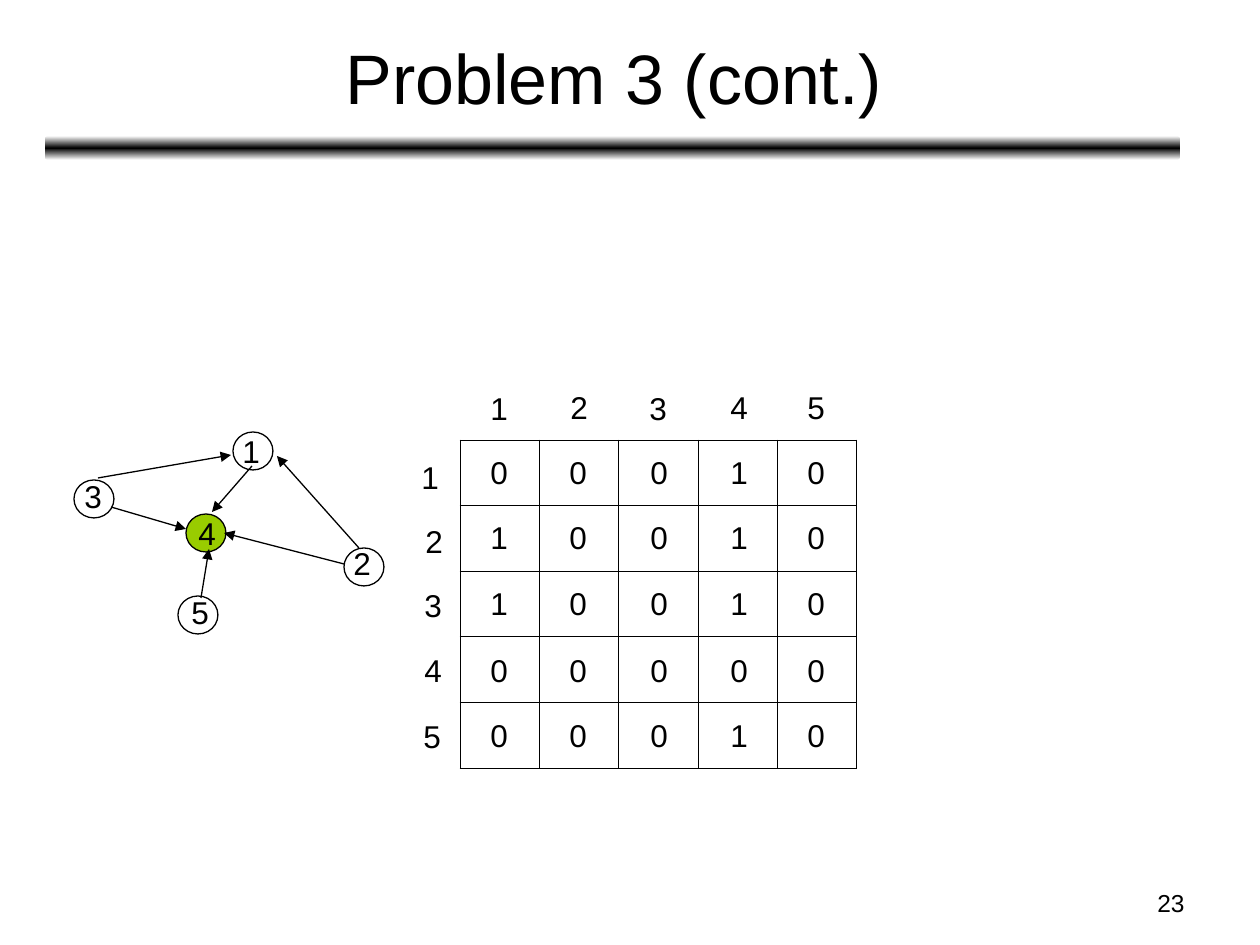
import copy

import pptx
import pptx.dml.color
import pptx.enum.shapes
import pptx.enum.text
import pptx.oxml
import pptx.oxml.ns
import pptx.util

SCALE = 914400 / 126
BLACK = pptx.dml.color.RGBColor(0x00, 0x00, 0x00)
WHITE = pptx.dml.color.RGBColor(0xFF, 0xFF, 0xFF)
GREEN = pptx.dml.color.RGBColor(0x99, 0xCC, 0x00)
ALIGN = pptx.enum.text.PP_ALIGN
ANCHOR = pptx.enum.text.MSO_ANCHOR
SHAPE = pptx.enum.shapes.MSO_SHAPE
DIGIT_BOX = (43, 50)
NODE_SIZE = (40, 38)

MATRIX = ["00010", "10010", "10010", "00000", "00010"]
VALUE_LEFTS = [478, 557, 638, 718, 795]
VALUE_TOPS = [447, 512, 578, 645, 710]
COLUMN_LABELS = [(478, 383), (558, 382), (637, 383), (718, 382), (795, 382)]
ROW_LABELS = [(409, 452), (413, 516), (412, 580), (412, 645), (411, 711)]
NODES = [(233, 432), (344, 548), (74, 480), (186, 514), (178, 596)]
NODE_LABELS = [(230, 426), (341, 538), (72, 471), (186, 508), (179, 587)]
HIGHLIGHTED = 4
ARROWS = [
    (111, 507, 186, 529),
    (201, 598, 209, 549),
    (344, 564, 224, 533),
    (252, 466, 212, 512),
    (359, 548, 277, 456),
    (98, 478, 231, 455),
]


def px(*values):
    return [pptx.util.Emu(round(v * SCALE)) for v in values]


def set_attributes(target, values):
    for name, value in values.items():
        setattr(target, name, value)


def add_text(s, box, text, size=18, align=ALIGN.LEFT, anchor=ANCHOR.TOP, wrap=False):
    tf = s.shapes.add_textbox(*px(*box)).text_frame
    set_attributes(tf, {"word_wrap": wrap, "vertical_anchor": anchor})
    p = tf.paragraphs[0]
    p.alignment = align
    r = p.add_run()
    r.text = text
    set_attributes(r.font, {"name": "Arial", "size": pptx.util.Pt(size)})
    r.font.color.rgb = BLACK


def add_numbers(s, positions):
    for number, position in enumerate(positions, 1):
        add_text(s, position + DIGIT_BOX, str(number))


def add_title_bar(s):
    sp = s.shapes.add_shape(SHAPE.ROUNDED_RECTANGLE, *px(45, 136, 1135, 24))
    sp.shadow.inherit = False
    sp.line.fill.background()
    sp.fill.gradient()
    sp.fill.gradient_angle = 90
    first = sp.fill._fill._gradFill.gsLst[0]
    first.addnext(copy.deepcopy(first))
    stops = [(0, WHITE), (0.5, BLACK), (1, WHITE)]
    for stop, (position, color) in zip(sp.fill.gradient_stops, stops):
        stop.position = position
        stop.color.rgb = color


def add_border(cell, side):
    cell._tc.get_or_add_tcPr().append(pptx.oxml.parse_xml(
        f'<a:ln{side} {pptx.oxml.ns.nsdecls("a")} w="{pptx.util.Pt(0.45)}">'
        f'<a:solidFill><a:srgbClr val="{BLACK}"/></a:solidFill></a:ln{side}>'
    ))


def add_grid(s):
    n = len(MATRIX)
    table = s.shapes.add_table(n, n, *px(460, 440, 397, 328)).table
    set_attributes(table, {"first_row": False, "horz_banding": False})
    for cell in table.iter_cells():
        for side in "LRTB":
            add_border(cell, side)
        cell.fill.background()


def add_values(s):
    for top, row in zip(VALUE_TOPS, MATRIX):
        for left, value in zip(VALUE_LEFTS, row):
            add_text(s, (left, top) + DIGIT_BOX, value)


def add_node(group, position, highlighted):
    sp = group.shapes.add_shape(SHAPE.OVAL, *px(*position, *NODE_SIZE))
    sp.shadow.inherit = False
    if highlighted:
        sp.fill.solid()
        sp.fill.fore_color.rgb = GREEN
    else:
        sp.fill.background()
    sp.line.color.rgb = BLACK
    sp.line.width = pptx.util.Pt(0.75)


def add_arrow(group, ends):
    kind = pptx.enum.shapes.MSO_CONNECTOR.STRAIGHT
    c = group.shapes.add_connector(kind, *px(*ends))
    c.line.color.rgb = BLACK
    c.line.width = pptx.util.Pt(0.75)
    ns = pptx.oxml.ns.nsdecls("a")
    c.line._get_or_add_ln().append(
        pptx.oxml.parse_xml(f'<a:tailEnd {ns} type="triangle"/>'))
    c._element.spPr.append(pptx.oxml.parse_xml(f"<a:effectLst {ns}/>"))


def add_graph(s):
    group = s.shapes.add_group_shape()
    for number, position in enumerate(NODES, 1):
        add_node(group, position, number == HIGHLIGHTED)
    for ends in ARROWS:
        add_arrow(group, ends)
    add_numbers(s, NODE_LABELS)


def main():
    prs = pptx.Presentation()
    prs.slide_width, prs.slide_height = px(1260, 945)
    s = prs.slides.add_slide(prs.slide_layouts[6])
    add_title_bar(s)
    add_text(s, (903, 882, 294, 44), "23", 14, ALIGN.RIGHT, wrap=True)
    add_text(s, (47, 14, 1134, 125), "Problem 3 (cont.)", 40,
             ALIGN.CENTER, ANCHOR.MIDDLE, True)
    add_grid(s)
    add_values(s)
    add_numbers(s, COLUMN_LABELS)
    add_numbers(s, ROW_LABELS)
    add_graph(s)
    prs.save("out.pptx")


if __name__ == "__main__":
    main()
